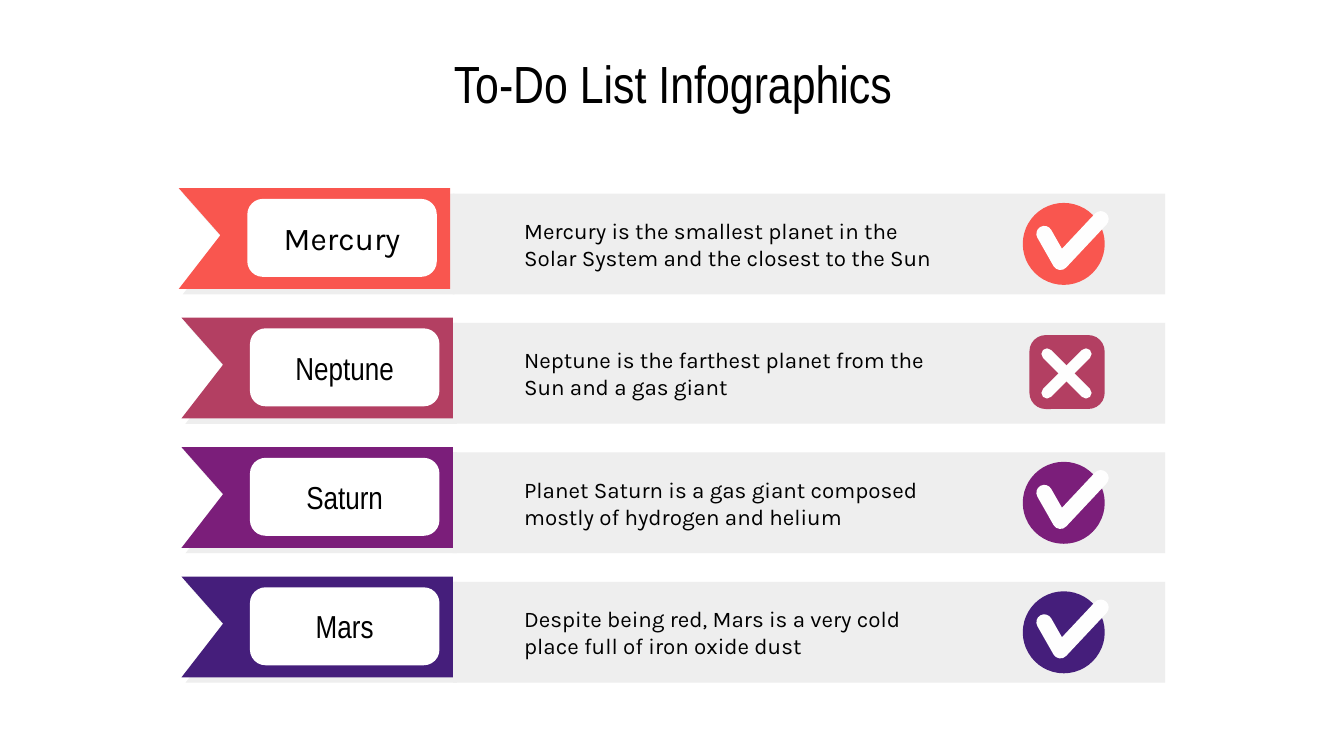
from lxml.etree import SubElement
from pptx import Presentation
from pptx.dml.color import RGBColor
from pptx.enum.shapes import MSO_SHAPE
from pptx.enum.text import MSO_ANCHOR, PP_ALIGN
from pptx.oxml.ns import qn
from pptx.util import Inches, Pt

COLORS = {
    "coral": "F9564F",
    "rose": "B33F62",
    "purple": "7B1E7A",
    "indigo": "451E7B",
    "gray": "EEEEEE",
    "white": "FFFFFF",
    "mark": "FEFEFE",
    "text": "000000",
}

ROWS = [
    ("Mercury", "Karla", "coral", "check", 1.33,
     "Mercury is the smallest planet in the Solar System and the closest to the Sun"),
    ("Neptune", "Arial Narrow", "rose", "cross", 1.35,
     "Neptune is the farthest planet from the Sun and a gas giant"),
    ("Saturn", "Arial Narrow", "purple", "check", 1.35,
     "Planet Saturn is a gas giant composed mostly of hydrogen and helium"),
    ("Mars", "Arial Narrow", "indigo", "check", 1.35,
     "Despite being red, Mars is a very cold place full of iron oxide dust"),
]


def rgb(name):
    return RGBColor.from_string(COLORS[name])


def paint(sp, color):
    sp.shadow.inherit = False
    sp.fill.solid()
    sp.fill.fore_color.rgb = rgb(color)
    sp.line.fill.background()


def add_block(slide, kind, left, top, width, height, color):
    sp = slide.shapes.add_shape(
        kind, Inches(left), Inches(top), Inches(width), Inches(height))
    paint(sp, color)
    return sp


def write(sp, text, font, size, align, side=0.1):
    tf = sp.text_frame
    tf.word_wrap = True
    tf.vertical_anchor = MSO_ANCHOR.MIDDLE
    tf.margin_left = tf.margin_right = Inches(side)
    tf.margin_top = tf.margin_bottom = Inches(0.1)
    p = tf.paragraphs[0]
    p.alignment = align
    r = p.add_run()
    r.text = text
    r.font.name = font
    r.font.size = Pt(size)
    r.font.color.rgb = rgb("text")


def add_path(slide, strokes, left, top, close):
    strokes = [[(Inches(left + x), Inches(top + y)) for x, y in stroke]
               for stroke in strokes]
    builder = slide.shapes.build_freeform(*strokes[0][0], scale=1.0)
    builder.add_line_segments(strokes[0][1:], close=close)
    for stroke in strokes[1:]:
        builder.move_to(*stroke[0])
        builder.add_line_segments(stroke[1:], close=close)
    return builder.convert_to_shape()


def add_mark(slide, strokes, left, top, weight):
    sp = add_path(slide, strokes, left, top, False)
    sp.shadow.inherit = False
    sp.fill.background()
    sp.line.color.rgb = rgb("mark")
    sp.line.width = Pt(weight)
    ln = sp.element.spPr.find(qn("a:ln"))
    ln.set("cap", "rnd")
    SubElement(ln, qn("a:round"))


def add_ribbon(slide, left, top, width, height, color):
    outline = [(0, 0), (0.31, 0.35), (0, height), (width, height), (width, 0)]
    for dx, dy, fill in ((0.03, 0.04, "gray"), (0, 0, color)):
        sp = add_path(slide, [outline], left + dx, top + dy, True)
        paint(sp, fill)


def add_check(slide, left, top, color):
    add_block(slide, MSO_SHAPE.OVAL, left, top, 0.61, 0.61, color)
    add_mark(slide, [[(0.16, 0.23), (0.28, 0.44), (0.58, 0.12)]], left, top, 8.5)


def add_cross(slide, left, top, color):
    sp = add_block(slide, MSO_SHAPE.ROUNDED_RECTANGLE,
                   left + 0.05, top + 0.02, 0.56, 0.55, color)
    sp.adjustments[0] = 0.22
    near, far = (0.18, 0.16), (0.47, 0.45)
    strokes = [[near, far], [(far[0], near[1]), (near[0], far[1])]]
    add_mark(slide, strokes, left, top, 6)


def add_row(slide, left, top, right, height, row):
    name, font, color, icon, ribbon_left, description = row
    bar_left = left + 2.02
    add_block(slide, MSO_SHAPE.RECTANGLE,
              bar_left, top, right - bar_left, height, "gray")
    add_ribbon(slide, ribbon_left, top - 0.04, 2.02, height, color)
    label = add_block(slide, MSO_SHAPE.ROUNDED_RECTANGLE,
                      ribbon_left + 0.51, top + 0.04, 1.41, 0.58, "white")
    label.adjustments[0] = 0.2
    write(label, name, font, 17, PP_ALIGN.CENTER)
    body = add_block(slide, MSO_SHAPE.RECTANGLE,
                     left + 2.35, top + 0.03, 3.56, height - 0.06, "gray")
    write(body, description, "Karla", 12, PP_ALIGN.LEFT, 0.2)
    add_icon = {"check": add_check, "cross": add_cross}[icon]
    add_icon(slide, right - 1.06, top + 0.07, color)


def add_title(slide, left, top, width, height):
    box = slide.shapes.add_textbox(
        Inches(left), Inches(top), Inches(width), Inches(height))
    write(box, "To-Do List Infographics", "Arial Narrow", 28, PP_ALIGN.CENTER)


def main():
    prs = Presentation()
    prs.slide_width = Inches(10)
    prs.slide_height = prs.slide_width * 9 // 16
    slide = prs.slides.add_slide(prs.slide_layouts[6])
    add_title(slide, 0.78, 0.35, 8.45, 0.53)
    first, last = 1.44, 4.33
    pitch = (last - first) / (len(ROWS) - 1)
    for i, row in enumerate(ROWS):
        add_row(slide, 1.35, first + i * pitch, 8.67, 0.75, row)
    prs.save("out.pptx")


if __name__ == "__main__":
    main()
